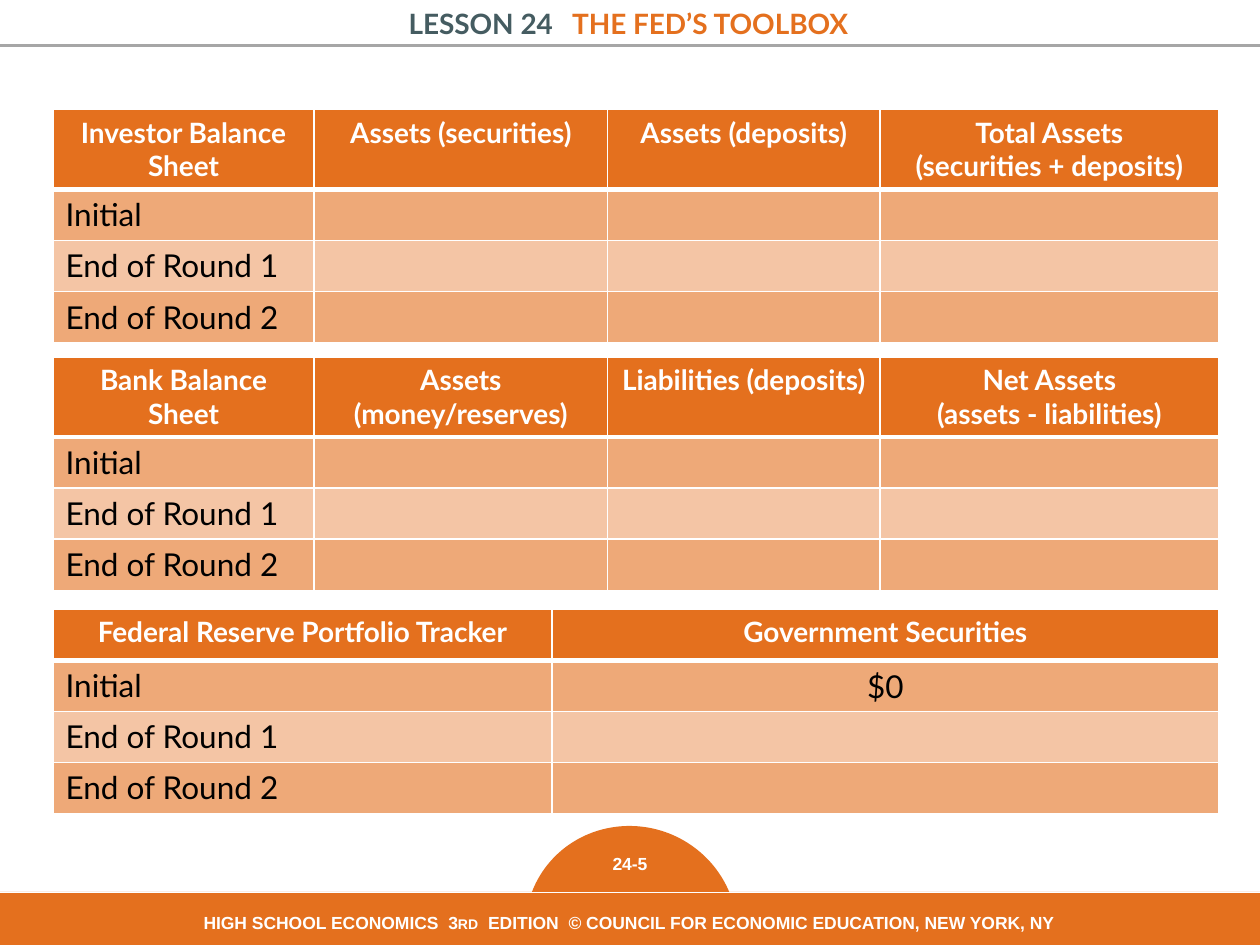
import pptx
import pptx.dml.color
import pptx.enum.shapes
import pptx.enum.text
import pptx.oxml.ns
import pptx.util
from lxml import etree

Cm = pptx.util.Cm
Pt = pptx.util.Pt
qn = pptx.oxml.ns.qn
Align = pptx.enum.text.PP_ALIGN
Anchor = pptx.enum.text.MSO_ANCHOR
Shape = pptx.enum.shapes.MSO_SHAPE


def rgb(value):
    return pptx.dml.color.RGBColor.from_string(value)


def add_text(paragraph, text, font="Lato", size=16, color="FFFFFF", bold=True,
             align=Align.CENTER, small_caps=False, spacing=0):
    paragraph.alignment = align
    run = paragraph.add_run()
    run.text = text
    run.font.name = font
    run.font.size = Pt(size)
    run.font.bold = bold
    run.font.color.rgb = rgb(color)
    properties = run._r.get_or_add_rPr()
    if small_caps:
        properties.set("cap", "small")
    if spacing:
        properties.set("spc", str(round(spacing * 100)))


class SlideBuilder:
    orange = "E4701E"
    slate = "455C61"
    gray = "A6A6A6"
    white = "FFFFFF"
    black = "000000"

    def __init__(self, slide):
        self.slide = slide

    def title(self, lesson, topic, left, top, width, height):
        shape = self.slide.shapes.title
        shape.left, shape.top = Cm(left), Cm(top)
        shape.width, shape.height = Cm(width), Cm(height)
        frame = shape.text_frame
        frame.word_wrap = True
        frame.auto_size = pptx.enum.text.MSO_AUTO_SIZE.NONE
        frame.vertical_anchor = Anchor.TOP
        paragraph = frame.paragraphs[0]
        add_text(paragraph, lesson, color=self.slate)
        add_text(paragraph, " ", color=self.slate, spacing=7)
        add_text(paragraph, topic, color=self.orange)

    def rule(self, left, right, top):
        connector = self.slide.shapes.add_connector(
            pptx.enum.shapes.MSO_CONNECTOR.STRAIGHT, Cm(left), Cm(top), Cm(right), Cm(top))
        connector.line.color.rgb = rgb(self.gray)
        connector.line.width = Pt(2)
        etree.SubElement(connector._element.spPr, qn("a:effectLst"))

    def shape(self, kind, left, top, width, height, line, line_width):
        shape = self.slide.shapes.add_shape(kind, Cm(left), Cm(top), Cm(width), Cm(height))
        shape.shadow.inherit = False
        shape.fill.solid()
        shape.fill.fore_color.rgb = rgb(self.orange)
        shape.line.color.rgb = rgb(line)
        shape.line.width = Pt(line_width)
        return shape

    def label(self, runs, left, top, width, height):
        box = self.slide.shapes.add_textbox(Cm(left), Cm(top), Cm(width), Cm(height))
        box.text_frame.word_wrap = True
        for text, options in runs:
            add_text(box.text_frame.paragraphs[0], text, font="Arial", size=10, **options)

    def style_cell(self, cell, row):
        properties = cell._tc.get_or_add_tcPr()
        widths = {"L": 1, "R": 1, "T": 3 if row == 1 else 1, "B": 3 if row == 0 else 1}
        for side, width in widths.items():
            border = etree.SubElement(properties, qn(f"a:ln{side}"), w=str(Pt(width)))
            fill = etree.SubElement(border, qn("a:solidFill"))
            etree.SubElement(fill, qn("a:srgbClr"), val=self.white)
        cell.fill.solid()
        cell.fill.fore_color.rgb = rgb(self.orange)
        if row:
            color = properties.find(qn("a:solidFill")).find(qn("a:srgbClr"))
            opacity = 60000 if row % 2 else 40000
            etree.SubElement(color, qn("a:alpha"), val=str(opacity))

    def table(self, rows, left, top, widths, heights):
        table = self.slide.shapes.add_table(
            len(rows), len(widths), Cm(left), Cm(top), Cm(sum(widths)), Cm(sum(heights))).table
        table.horz_banding = False
        for column, width in zip(table.columns, widths):
            column.width = Cm(width)
        for row, (texts, height) in enumerate(zip(rows, heights)):
            table.rows[row].height = Cm(height)
            for column, text in enumerate(texts):
                cell = table.cell(row, column)
                self.style_cell(cell, row)
                if row == 0:
                    options = {}
                else:
                    align = Align.CENTER if column else Align.LEFT
                    options = {"size": 18, "color": self.black, "bold": False, "align": align}
                    if column:
                        cell.vertical_anchor = Anchor.MIDDLE
                frame = cell.text_frame
                for index, line in enumerate(text.split("\n") if text else []):
                    paragraph = frame.add_paragraph() if index else frame.paragraphs[0]
                    add_text(paragraph, line, **options)


def main():
    presentation = pptx.Presentation()
    presentation.slide_width = Cm(25.4)
    presentation.slide_height = Cm(19.05)
    slide = presentation.slides.add_slide(presentation.slide_layouts[5])
    builder = SlideBuilder(slide)

    builder.rule(0, 25.4, 0.92)
    builder.title("LESSON 24", "THE FED’S TOOLBOX", 2.41, 0, 20.52, 0.94)

    dome = builder.shape(Shape.CHORD, 10.67, 16.64, 4.11, 4.22, builder.orange, 2)
    dome.rotation = 112.5
    dome.adjustments[0] = 39.96
    dome.adjustments[1] = 148.42
    builder.label([("24-5", {})], 11.43, 17.07, 2.54, 0.69)

    builder.shape(Shape.RECTANGLE, -0.1, 17.98, 25.55, 1.07, builder.white, 0.25)
    wide_space = (" ", {"spacing": 2.8})
    builder.label([
        ("HIGH SCHOOL ECONOMICS", {}), wide_space,
        ("3", {}), ("rd", {"small_caps": True}), wide_space,
        ("EDITION", {}), wide_space,
        ("© COUNCIL FOR ECONOMIC EDUCATION, NEW YORK, NY", {}),
    ], 3.25, 18.26, 18.85, 0.69)

    stages = ["Initial", "End of Round 1", "End of Round 2"]
    balance_widths = [5.26, 5.92, 5.49, 6.83]
    tracker_widths = [10.06, 13.44]
    row_height = 1.03
    balance_heights = [1.57] + [row_height] * 3
    blank_balance = [[stage, "", "", ""] for stage in stages]

    investor_header = ["Investor Balance Sheet", "Assets (securities)", "Assets (deposits)",
                       "Total Assets\n(securities + deposits)"]
    bank_header = ["Bank Balance Sheet", "Assets\n(money/reserves)", "Liabilities (deposits)",
                   "Net Assets\n(assets - liabilities)"]
    tracker_header = ["Federal Reserve Portfolio Tracker", "Government Securities"]
    tracker_rows = [list(pair) for pair in zip(stages, ["$0", "", ""])]

    builder.table([investor_header] + blank_balance, 1.07, 2.21, balance_widths, balance_heights)
    builder.table([bank_header] + blank_balance, 1.07, 7.2, balance_widths, balance_heights)
    builder.table([tracker_header] + tracker_rows, 1.07, 12.28, tracker_widths, [row_height] * 4)

    presentation.save("out.pptx")


if __name__ == "__main__":
    main()
